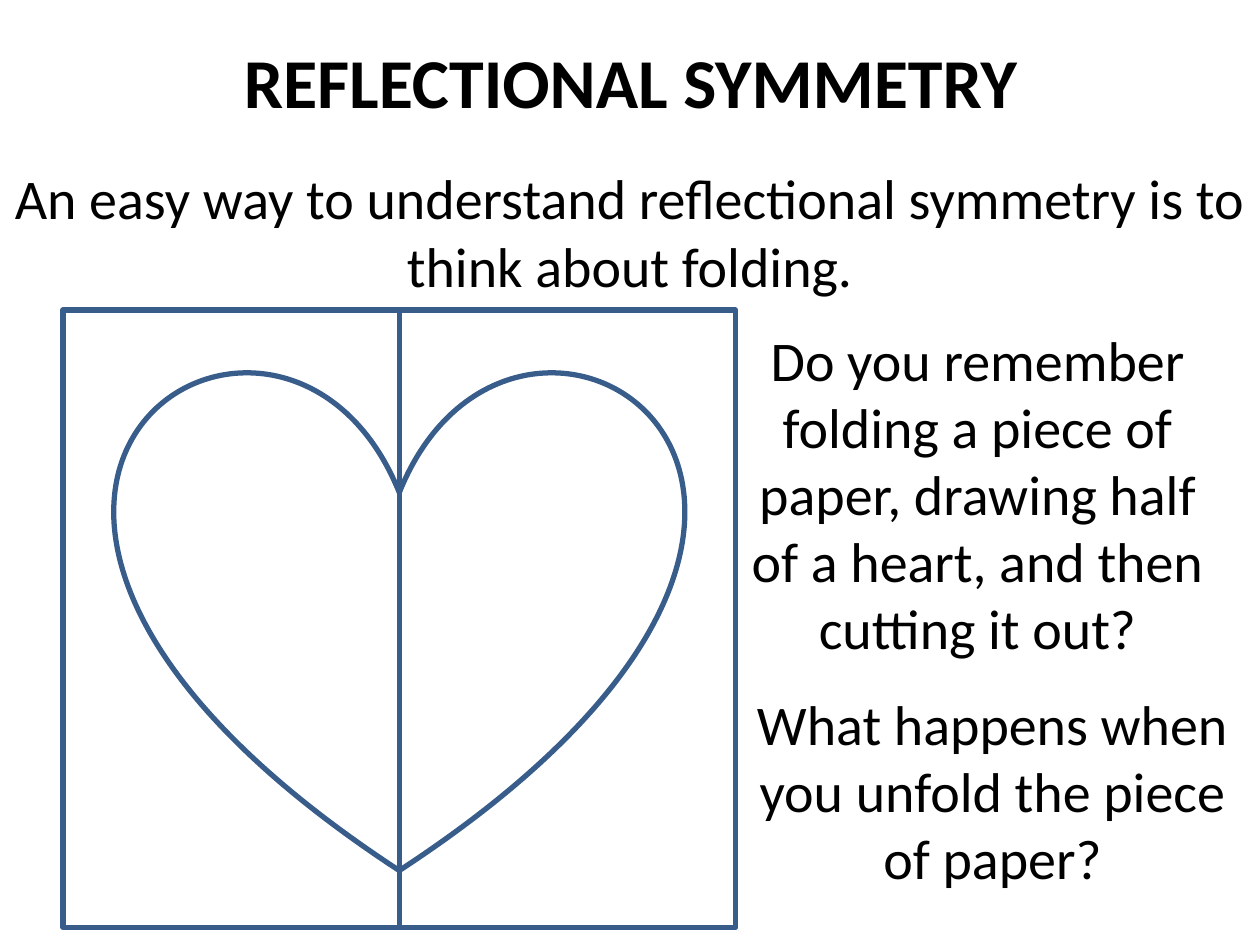
from typing import NamedTuple

from pptx import Presentation
from pptx.dml.color import RGBColor
from pptx.enum.shapes import MSO_SHAPE
from pptx.enum.text import MSO_ANCHOR, MSO_AUTO_SIZE, PP_ALIGN
from pptx.util import Cm, Pt

BLACK = RGBColor(0x00, 0x00, 0x00)
BLUE = RGBColor(0x38, 0x5D, 0x8A)
FONT = "Calibri"


class Box(NamedTuple):
    left: float
    top: float
    width: float
    height: float

    def cm(self) -> list:
        return [Cm(side) for side in self]


class Note(NamedTuple):
    text: str
    box: Box


class Form(NamedTuple):
    kind: MSO_SHAPE
    box: Box


PAGE = Box(0, 0, 25.4, 19.05)
TITLE = Note("REFLECTIONAL SYMMETRY", Box(0.43, 0.64, 24.56, 1.96))
NOTES = [
    Note("An easy way to understand reflectional symmetry is to think about folding.",
         Box(0, 3.18, 25.4, 2.97)),
    Note("Do you remember folding a piece of paper, drawing half of a heart, "
         "and then cutting it out?", Box(14.53, 6.43, 10.36, 7.04)),
    Note("What happens when you unfold the piece of paper?",
         Box(14.83, 13.77, 10.36, 4.32)),
]

HALF = Box(1.27, 6.25, 6.78, 12.45)
FOLD = HALF.left + HALF.width
HEART = Box(FOLD - 11.43 / 2, 7.39, 11.43, 10.16)
FORMS = [
    Form(MSO_SHAPE.RECTANGLE, HALF),
    Form(MSO_SHAPE.HEART, HEART),
    Form(MSO_SHAPE.RECTANGLE, HALF._replace(left=FOLD)),
]


def write(shape, text: str, *, size: float = 32, bold: bool = False,
          color: RGBColor = BLACK) -> None:
    frame = shape.text_frame
    frame.word_wrap = True
    frame.auto_size = MSO_AUTO_SIZE.NONE
    frame.vertical_anchor = MSO_ANCHOR.TOP
    frame.text = text
    line = frame.paragraphs[0]
    line.alignment = PP_ALIGN.CENTER
    font = line.runs[0].font
    font.name, font.size, font.bold = FONT, Pt(size), bold
    font.color.rgb = color


def draw(slide, form: Form) -> None:
    shape = slide.shapes.add_shape(form.kind, *form.box.cm())
    shape.shadow.inherit = False
    shape.fill.background()
    shape.line.color.rgb = BLUE
    shape.line.width = Pt(3)


def main() -> None:
    deck = Presentation()
    deck.slide_width, deck.slide_height = Cm(PAGE.width), Cm(PAGE.height)
    slide = deck.slides.add_slide(deck.slide_layouts.get_by_name("Title Only"))

    title = slide.shapes.title
    title.left, title.top, title.width, title.height = TITLE.box.cm()
    write(title, TITLE.text, size=40, bold=True)

    for form in FORMS:
        draw(slide, form)
    for note in NOTES:
        write(slide.shapes.add_textbox(*note.box.cm()), note.text)

    deck.save("out.pptx")


if __name__ == "__main__":
    main()
